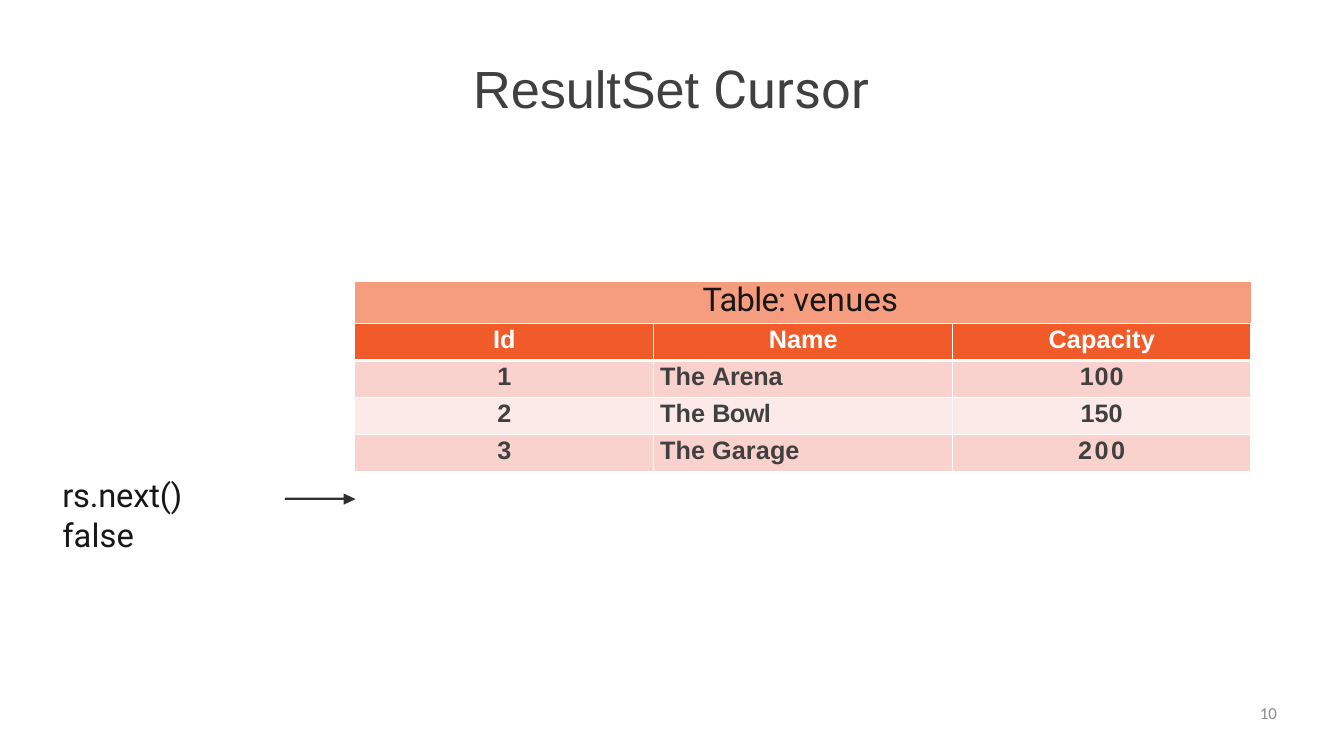
from dataclasses import dataclass

from lxml.etree import SubElement
from pptx import Presentation
from pptx.dml.color import RGBColor
from pptx.enum.text import PP_ALIGN
from pptx.oxml.ns import qn
from pptx.util import Emu, Pt

EMU_PER_PX = 9525  # 96 px to the inch
PLAIN_TABLE_STYLE = "{2D5ABB26-0587-4C30-8999-92F81FD0307C}"


@dataclass(frozen=True)
class Theme:
    heading: str = "404040"
    ink: str = "171717"
    arrow: str = "303030"
    muted: str = "8C8C8C"
    white: str = "FFFFFF"
    caption_fill: str = "F79D7F"
    header_fill: str = "F15B2A"
    band_fills: tuple[str, str] = ("FAD2CD", "FCEAE8")
    title_size: int = 56
    body_size: int = 35
    cell_size: int = 27
    number_size: int = 18
    sans: str = "Arial"
    display: str = "Roboto"
    footer: str = "Calibri"


@dataclass(frozen=True)
class Span:
    text: str
    spacing: float = 0  # letter spacing in points
    font: str = ""  # overrides the paragraph's font


@dataclass(frozen=True)
class Box:
    left: int
    top: int
    width: int
    height: int

    def emu(self) -> tuple[Emu, ...]:
        return tuple(px(n) for n in (self.left, self.top, self.width, self.height))


@dataclass(frozen=True)
class Venue:
    number: Span
    name: tuple[Span, ...]
    capacity: Span


THEME = Theme()
HEADERS = (Span("Id", 0.1), Span("Name", 0.1), Span("Capacity", 0.2))
VENUES = (
    Venue(Span("1"), (Span("The ", 0.1), Span("Arena", -0.3)), Span("100", 0.9)),
    Venue(Span("2"), (Span("The ", 0.1), Span("Bowl", -0.6)), Span("150")),
    Venue(Span("3"), (Span("The Garage", 0.1),), Span("200", 2.7)),
)
COLUMN_WIDTHS = (427, 427, 426)
CAPTION_HEIGHT, ROW_HEIGHT = 59, 53


def px(length: int) -> Emu:
    return Emu(length * EMU_PER_PX)


def write(frame, *spans: Span, size: int, color: str, font: str, bold: bool = False,
          align=PP_ALIGN.LEFT, before: float = 0, line=None, indent: int = 0) -> None:
    """Fill the first paragraph of a text frame with formatted spans."""
    para = frame.paragraphs[0]
    para.alignment = align
    para.space_before = Pt(before)
    if line:
        para.line_spacing = Pt(line)
    if indent:
        para._p.get_or_add_pPr().set("marL", str(px(indent)))
    for span in spans:
        run = para.add_run()
        run.text = span.text
        run.font.size = Pt(size)
        run.font.name = span.font or font
        run.font.bold = bold
        run.font.color.rgb = RGBColor.from_string(color)
        run._r.get_or_add_rPr().set("spc", str(round(span.spacing * 100)))


def add_text(page, box: Box, *spans: Span, inset: int = 0, **style) -> None:
    frame = page.shapes.add_textbox(*box.emu()).text_frame
    frame.word_wrap = True
    frame.margin_left = frame.margin_right = frame.margin_bottom = 0
    frame.margin_top = px(inset)
    write(frame, *spans, **style)


def fill_cell(cell, *spans: Span, fill: str, borders: dict[str, float],
              inset: int = 3, right: int = 0, **style) -> None:
    cell.margin_left = cell.margin_bottom = 0
    cell.margin_top, cell.margin_right = px(inset), px(right)
    # Borders come before the fill in the cell properties
    properties = cell._tc.get_or_add_tcPr()
    for side, width in borders.items():
        edge = SubElement(properties, qn(f"a:ln{side}"), w=str(Pt(width)))
        SubElement(SubElement(edge, qn("a:solidFill")), qn("a:srgbClr"), val=THEME.white)
    cell.fill.solid()
    cell.fill.fore_color.rgb = RGBColor.from_string(fill)
    write(cell.text_frame, *spans, **style)


def edges(top: float = 1.5, bottom: float = 1.5) -> dict[str, float]:
    return {"L": 1.5, "R": 1.5, "T": top, "B": bottom}


def add_venue_table(page, left: int, top: int) -> None:
    row_count = len(VENUES) + 2
    box = Box(left, top, sum(COLUMN_WIDTHS), CAPTION_HEIGHT + ROW_HEIGHT * (row_count - 1))
    table = page.shapes.add_table(row_count, len(COLUMN_WIDTHS), *box.emu()).table
    table.first_row = table.horz_banding = False
    table._tbl.tblPr.find(qn("a:tableStyleId")).text = PLAIN_TABLE_STYLE
    for column, width in zip(table.columns, COLUMN_WIDTHS):
        column.width = px(width)
    for index, row in enumerate(table.rows):
        row.height = px(ROW_HEIGHT if index else CAPTION_HEIGHT)

    # Caption across all columns
    table.cell(0, 0).merge(table.cell(0, len(COLUMN_WIDTHS) - 1))
    fill_cell(table.cell(0, 0), Span("Table: ", -0.8), Span("venues", 0.3),
              fill=THEME.caption_fill, borders={"B": 0.75}, inset=1, right=7,
              size=THEME.body_size, color=THEME.ink, font=THEME.display,
              align=PP_ALIGN.CENTER, line=39.5)

    # Column headings
    bold = dict(size=THEME.cell_size, font=THEME.sans, bold=True)
    for column, header in enumerate(HEADERS):
        fill_cell(table.cell(1, column), header, fill=THEME.header_fill,
                  borders=edges(top=0.75, bottom=4.25), color=THEME.white,
                  align=PP_ALIGN.CENTER, before=2.2, **bold)

    # One banded row for each venue
    for index, venue in enumerate(VENUES):
        for column, spans in enumerate(((venue.number,), venue.name, (venue.capacity,))):
            is_name = column == 1
            fill_cell(table.cell(index + 2, column), *spans,
                      fill=THEME.band_fills[index % 2],
                      borders=edges(top=1.5 if index else 4.25), color=THEME.heading,
                      align=PP_ALIGN.LEFT if is_name else PP_ALIGN.CENTER,
                      indent=9 if is_name else 0, before=2.5, **bold)


def add_arrow(page, box: Box, head: int, shaft: int) -> None:
    """Draw a solid right-pointing arrow with a thin shaft."""
    tip, bottom = box.left + box.width, box.top + box.height
    neck = tip - head
    shaft_top = box.top + (box.height - shaft) // 2
    shaft_bottom = shaft_top + shaft
    outline = page.shapes.build_freeform(box.left, shaft_top, scale=EMU_PER_PX)
    outline.add_line_segments([
        (neck, shaft_top), (neck, box.top), (tip, box.top + box.height // 2),
        (neck, bottom), (neck, shaft_bottom), (box.left, shaft_bottom),
    ])
    arrow = outline.convert_to_shape()
    arrow.shadow.inherit = False
    arrow.fill.solid()
    arrow.fill.fore_color.rgb = RGBColor.from_string(THEME.arrow)
    arrow.line.fill.background()


def main() -> None:
    deck = Presentation()
    deck.slide_width, deck.slide_height = px(1920), px(1080)
    page = deck.slides.add_slide(deck.slide_layouts[6])

    # Title
    add_text(page, Box(675, 79, 571, 92), Span("ResultSet ", -0.1),
             Span("Cursor", 0.2, THEME.display), inset=1, size=THEME.title_size,
             color=THEME.heading, font=THEME.sans, before=1, indent=1)

    add_venue_table(page, 507, 403)

    # Cursor position after the last row
    add_text(page, Box(87, 678, 280, 59), Span("rs.next() ", -0.2), Span("false", 0.1),
             inset=1, size=THEME.body_size, color=THEME.ink, font=THEME.display,
             before=1, indent=2)
    add_arrow(page, Box(407, 705, 101, 16), head=17, shaft=3)

    # Page number
    add_text(page, Box(1382, 1004, 442, 54), Span("10"), size=THEME.number_size,
             color=THEME.muted, font=THEME.footer, align=PP_ALIGN.RIGHT)

    deck.save("out.pptx")


if __name__ == "__main__":
    main()
